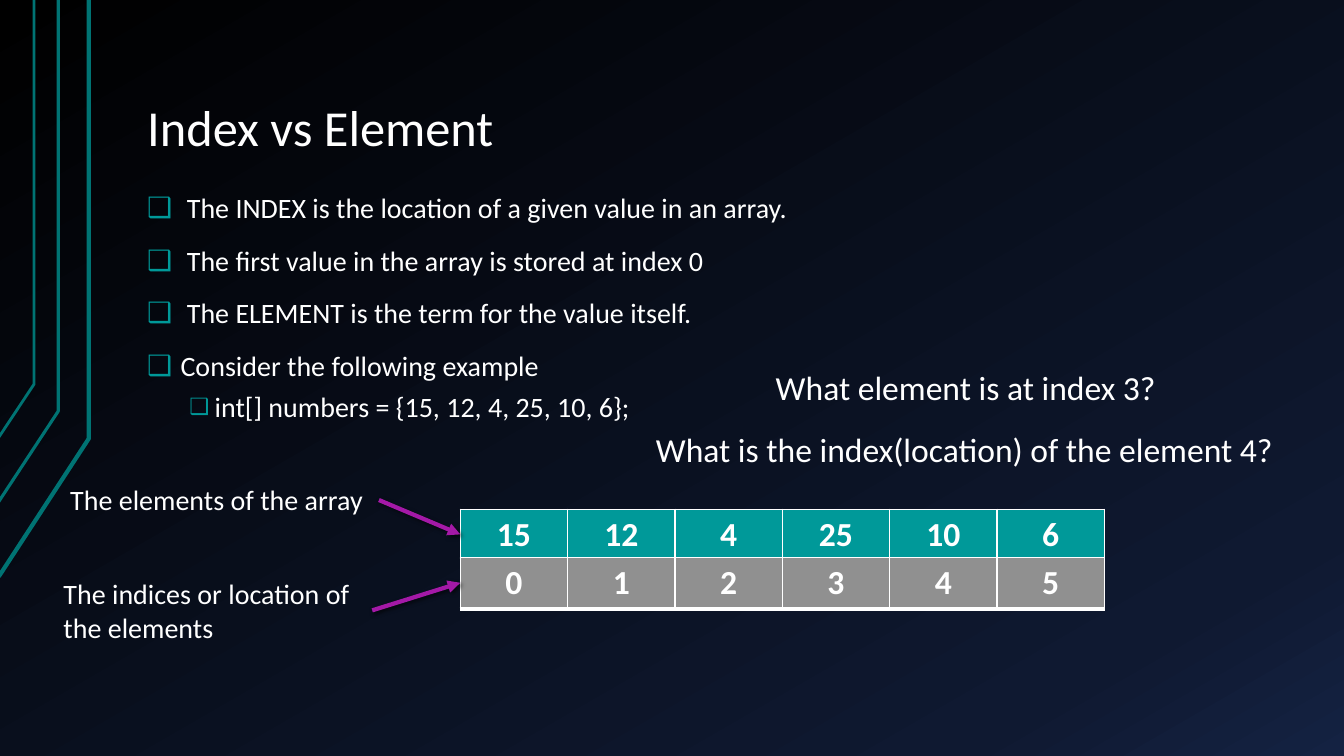
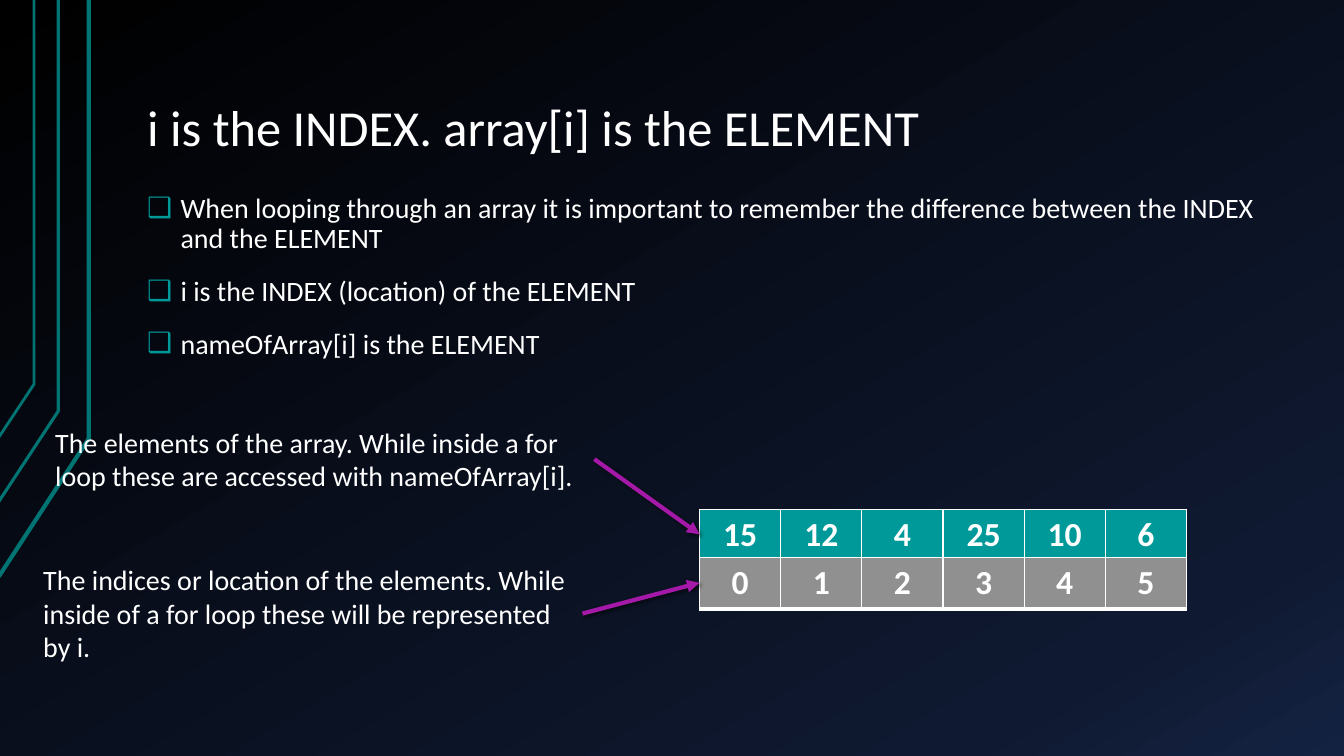
from dataclasses import dataclass

from lxml import etree
from pptx import Presentation, util as u
from pptx.dml import color
from pptx.enum import shapes, text
from pptx.oxml import ns


# Theme: every colour and type size
@dataclass(frozen=True)
class Theme:
    font: str = "Calibri"
    white: str = "FFFFFF"
    teal: str = "009999"
    gray: str = "909090"
    rail: str = "007373"
    arrow: str = "A419A7"
    shadow: str = "000000"
    gradient: tuple = ((0, "000000"), (85, "0F1931"), (100, "142242"))
    title_size: int = 36
    body_size: int = 20
    large_size: int = 24


THEME = Theme()


# Repeated elements, lengths in centimetres
@dataclass(frozen=True)
class Frame:
    left: float
    top: float
    width: float
    height: float

    def lengths(self) -> tuple:
        return tuple(u.Cm(n) for n in (self.left, self.top, self.width, self.height))


@dataclass(frozen=True)
class Rail:
    points: tuple
    weight: float


@dataclass(frozen=True)
class Bullet:
    words: str
    level: int = 0


@dataclass(frozen=True)
class BulletStyle:
    margin: float
    hanging: float
    before: int
    percent: int


@dataclass(frozen=True)
class Row:
    values: tuple
    fill: str
    top: float


@dataclass(frozen=True)
class Note:
    words: str
    frame: Frame


@dataclass(frozen=True)
class Lesson:
    title: str
    bullets: tuple
    row_left: float
    row_width: float
    labels: tuple  # one for each row
    questions: tuple = ()


TITLE_FRAME = Frame(3.38, 0.76, 28.78, 3.4)
BODY_FRAME = Frame(3.38, 4.72, 28.78, 12.4)
ROW_HEIGHT = 1.27
RAILS = (
    Rail(((-0.03, 14.53), (2.24, 11.05), (2.24, 0)), 3),
    Rail(((-0.05, 12.67), (1.47, 10.36), (1.47, 0)), 2.25),
    Rail(((-0.03, 11.02), (0.86, 9.68), (0.86, 0)), 2),
)
BULLET_STYLES = (BulletStyle(0.84, 0.84, 16, 100), BulletStyle(1.7, 0.64, 8, 80))
ROWS = (
    Row(("15", "12", "4", "25", "10", "6"), THEME.teal, 12.83),
    Row(("0", "1", "2", "3", "4", "5"), THEME.gray, 14.05),
)

LESSONS = (
    Lesson(
        "Index vs Element",
        (
            Bullet(" The INDEX is the location of a given value in an array."),
            Bullet(" The first value in the array is stored at index 0"),
            Bullet(" The ELEMENT is the term for the value itself."),
            Bullet("Consider the following example"),
            Bullet("int[] numbers = {15, 12, 4, 25, 10, 6};", 1),
        ),
        11.6, 16.23,
        (
            Note("The elements of the array", Frame(1.52, 12.04, 8.03, 1.12)),
            Note("The indices or location of the elements",
                 Frame(1.35, 14.4, 8.03, 1.96)),
        ),
        (
            Note("What element is at index 3?", Frame(19.3, 9.12, 10.16, 1.27)),
            Note("What is the index(location) of the element 4?",
                 Frame(16.28, 10.69, 16.18, 1.27)),
        ),
    ),
    Lesson(
        "i is the INDEX. array[i] is the ELEMENT",
        (
            Bullet("When looping through an array it is important to remember "
                   "the difference between the INDEX and the ELEMENT"),
            Bullet("i is the INDEX (location) of the ELEMENT"),
            Bullet("nameOfArray[i] is the ELEMENT"),
        ),
        17.63, 12.27,
        (
            Note("The elements of the array. While inside a for loop these are "
                 "accessed with nameOfArray[i].", Frame(1.14, 10.59, 13.84, 1.96)),
            Note("The indices or location of the elements. While inside of a for "
                 "loop these will be represented by i.",
                 Frame(0.84, 14.05, 13.84, 2.82)),
        ),
    ),
)


# Helpers
def rgb(value: str) -> color.RGBColor:
    return color.RGBColor.from_string(value)


def add_node(parent, tag: str, **attributes):
    return etree.SubElement(parent, ns.qn(tag),
                            {key: str(value) for key, value in attributes.items()})


def add_span(para, words: str, size: int, bold: bool = False) -> None:
    span = para.add_run()
    span.text = words
    span.font.name = THEME.font
    span.font.size = u.Pt(size)
    span.font.bold = bold
    span.font.color.rgb = rgb(THEME.white)


def place(box, frame: Frame) -> None:
    box.left, box.top, box.width, box.height = frame.lengths()


# Shared look: background, rails and placeholder positions
def paint_background(master) -> None:
    fill = master.background.fill
    fill.gradient()
    fill.gradient_angle = 300
    stops = master.element.xpath("p:cSld/p:bg//a:gsLst")[0]
    stops.clear()
    for percent, value in THEME.gradient:
        stop = add_node(stops, "a:gs", pos=percent * 1000)
        add_node(stop, "a:srgbClr", val=value)


def add_rails(page, master) -> None:
    for number, rail in enumerate(RAILS):
        points = [(u.Cm(x), u.Cm(y)) for x, y in rail.points]
        builder = page.shapes.build_freeform(*points[0])
        builder.add_line_segments(points[1:], close=False)
        outline = builder.convert_to_shape()
        outline.shadow.inherit = False
        outline.fill.background()
        outline.line.color.rgb = rgb(THEME.rail)
        outline.line.width = u.Pt(rail.weight)
        # The master keeps the rails behind every page
        outline.element.xpath(".//p:cNvPr")[0].set("id", str(100 + number))
        master.shapes.element.insert(2 + number, outline.element)


def format_placeholder(box, anchor):
    frame = box.text_frame
    frame.vertical_anchor = anchor
    frame.auto_size = text.MSO_AUTO_SIZE.NONE
    frame.margin_left = frame.margin_right = u.Cm(0.33)
    frame.margin_top = frame.margin_bottom = u.Cm(0.18)
    return frame


# Page parts
def fill_title(page, words: str) -> None:
    frame = format_placeholder(page.shapes.title, text.MSO_ANCHOR.BOTTOM)
    para = frame.paragraphs[0]
    para.alignment = text.PP_ALIGN.LEFT
    para.line_spacing = 0.9
    add_span(para, words, THEME.title_size)


def fill_bullets(page, bullets: tuple) -> None:
    frame = format_placeholder(page.placeholders[1], text.MSO_ANCHOR.TOP)
    for number, bullet in enumerate(bullets):
        para = frame.add_paragraph() if number else frame.paragraphs[0]
        style = BULLET_STYLES[bullet.level]
        para.level = bullet.level
        para.line_spacing = 0.9
        para.space_before = u.Pt(style.before)
        add_span(para, bullet.words, THEME.body_size)
        props = para._p.get_or_add_pPr()
        props.set("marL", str(u.Cm(style.margin)))
        props.set("indent", str(-u.Cm(style.hanging)))
        add_node(add_node(props, "a:buClr"), "a:srgbClr", val=THEME.teal)
        add_node(props, "a:buSzPct", val=style.percent * 1000)
        add_node(props, "a:buChar", char="❑")


def add_borders(cell) -> None:
    props = cell._tc.get_or_add_tcPr()
    for number, (side, weight) in enumerate((("L", 1), ("R", 1), ("T", 1), ("B", 3))):
        border = etree.Element(ns.qn(f"a:ln{side}"), {"w": str(u.Pt(weight))})
        add_node(add_node(border, "a:solidFill"), "a:srgbClr", val=THEME.white)
        props.insert(number, border)


def add_row(page, row: Row, left: float, width: float) -> None:
    frame = Frame(left, row.top, width, ROW_HEIGHT)
    table = page.shapes.add_table(1, len(row.values), *frame.lengths()).table
    table.first_row = table.horz_banding = False
    for cell, value in zip(table.iter_cells(), row.values):
        cell.fill.solid()
        cell.fill.fore_color.rgb = rgb(row.fill)
        add_borders(cell)
        para = cell.text_frame.paragraphs[0]
        para.alignment = text.PP_ALIGN.CENTER
        add_span(para, value, THEME.large_size, bold=True)


def add_note(page, note: Note, size: int, wrap: bool):
    box = page.shapes.add_textbox(*note.frame.lengths())
    box.text_frame.word_wrap = wrap
    box.text_frame.auto_size = text.MSO_AUTO_SIZE.SHAPE_TO_FIT_TEXT
    add_span(box.text_frame.paragraphs[0], note.words, size)
    return box


def add_arrow(page, box, x: float, y: float) -> None:
    arrow = page.shapes.add_connector(shapes.MSO_CONNECTOR.STRAIGHT,
                                      box.left, box.top, u.Cm(x), u.Cm(y))
    arrow.begin_connect(box, 3)
    arrow.line.color.rgb = rgb(THEME.arrow)
    arrow.line.width = u.Pt(3)
    props = arrow.element.spPr
    add_node(props.find(ns.qn("a:ln")), "a:tailEnd", type="triangle")
    shadow = add_node(add_node(props, "a:effectLst"), "a:outerShdw", blurRad=u.Pt(3),
                      dist=u.Pt(2), dir=45 * 60000, rotWithShape=0)
    tint = add_node(shadow, "a:srgbClr", val=THEME.shadow)
    add_node(tint, "a:alpha", val=60000)


def fill_page(page, lesson: Lesson) -> None:
    fill_title(page, lesson.title)
    fill_bullets(page, lesson.bullets)
    for row in ROWS:
        add_row(page, row, lesson.row_left, lesson.row_width)
    for row, label in zip(ROWS, lesson.labels):
        box = add_note(page, label, THEME.body_size, wrap=True)
        add_arrow(page, box, lesson.row_left, row.top + ROW_HEIGHT / 2)
    for question in lesson.questions:
        add_note(page, question, THEME.large_size, wrap=False)


def main() -> None:
    deck = Presentation()
    deck.slide_width, deck.slide_height = u.Cm(33.87), u.Cm(19.05)
    layout = deck.slide_layouts[1]
    paint_background(deck.slide_master)
    for box, frame in zip(layout.placeholders, (TITLE_FRAME, BODY_FRAME)):
        place(box, frame)
    pages = [deck.slides.add_slide(layout) for _ in LESSONS]
    add_rails(pages[0], deck.slide_master)
    for page, lesson in zip(pages, LESSONS):
        fill_page(page, lesson)
    deck.save("out.pptx")


if __name__ == "__main__":
    main()
